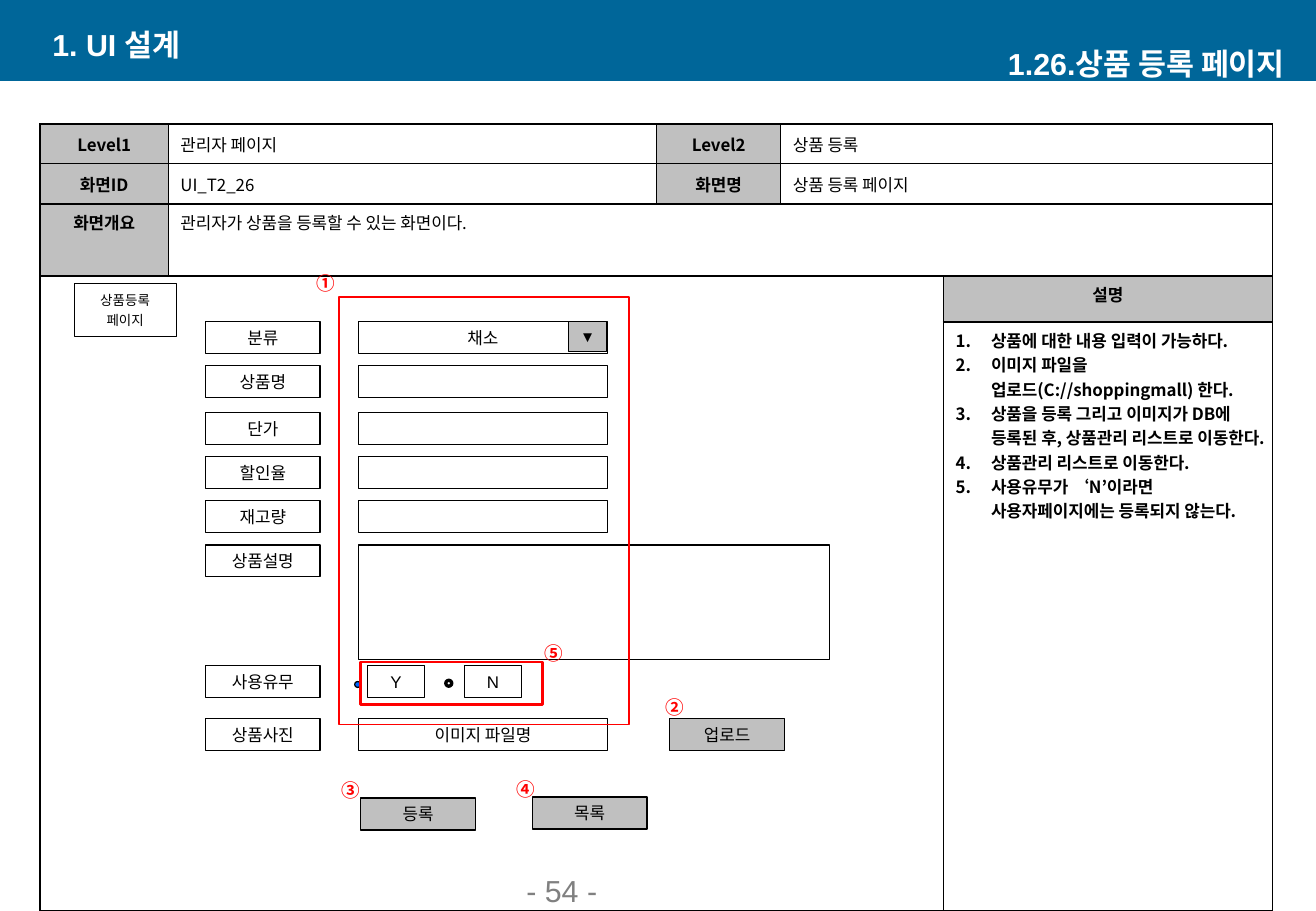
from lxml.etree import SubElement
from pptx import Presentation
from pptx.dml.color import RGBColor
from pptx.enum.shapes import MSO_SHAPE as Shape
from pptx.enum.text import MSO_ANCHOR as Anchor, PP_ALIGN as Align
from pptx.oxml.ns import qn
from pptx.util import Pt

BLACK = RGBColor(0x00, 0x00, 0x00)
WHITE = RGBColor(0xFF, 0xFF, 0xFF)
GRAY = RGBColor(0xC0, 0xC0, 0xC0)
DARK_GRAY = RGBColor(0x80, 0x80, 0x80)
RED = RGBColor(0xFF, 0x00, 0x00)
BLUE = RGBColor(0x00, 0x66, 0xFF)
TEAL = RGBColor(0x00, 0x66, 0x99)
ARIAL = "Arial"
NOTO = "Noto Sans CJK KR"


class Page:
    """The current slide and the style of its elements."""

    def __init__(self, slide):
        self.shapes = slide.shapes

    def style(self, paragraph, size, color=BLACK, bold=False, font=ARIAL, align=Align.LEFT):
        paragraph.alignment = align
        face = paragraph.font
        face.size, face.bold, face.name = Pt(size), bold, font
        face.color.rgb = color
        SubElement(face._element, qn("a:ea"), typeface=NOTO)

    def fill_text(self, frame, text, size, anchor=Anchor.MIDDLE, insets=(0, 0, 0, 0), **look):
        frame.word_wrap = True
        frame.vertical_anchor = anchor
        (frame.margin_left, frame.margin_top,
         frame.margin_right, frame.margin_bottom) = map(Pt, insets)
        frame.text = text
        for index, paragraph in enumerate(frame.paragraphs):
            if index:
                paragraph.space_before = Pt(2)
            self.style(paragraph, size, **look)

    def text(self, left, top, width, height, text, size, **look):
        box = self.shapes.add_textbox(Pt(left), Pt(top), Pt(width), Pt(height))
        self.fill_text(box.text_frame, text, size, **look)

    def box(self, left, top, width, height, text="", size=10, fill=None,
            line=BLACK, weight=0.75, kind=Shape.RECTANGLE):
        shape = self.shapes.add_shape(kind, Pt(left), Pt(top), Pt(width), Pt(height))
        shape.shadow.inherit = False
        if fill is None:
            shape.fill.background()
        else:
            shape.fill.solid()
            shape.fill.fore_color.rgb = fill
        if line is None:
            shape.line.fill.background()
        else:
            shape.line.color.rgb = line
            shape.line.width = Pt(weight)
        if text:
            self.fill_text(shape.text_frame, text, size, align=Align.CENTER)

    def marker(self, left, top, number):
        self.text(left, top, 24.5, 21, number, 11, color=RED, bold=True,
                  font=NOTO, align=Align.CENTER)

    def table(self, left, top, widths, heights):
        table = self.shapes.add_table(len(heights), len(widths), Pt(left), Pt(top),
                                      Pt(sum(widths)), Pt(sum(heights))).table
        table.first_row = table.horz_banding = False
        for column, width in zip(table.columns, widths):
            column.width = Pt(width)
        for row, height in zip(table.rows, heights):
            row.height = Pt(height)
        for cell in table.iter_cells():
            properties = cell._tc.get_or_add_tcPr()
            for side in ("a:lnL", "a:lnR", "a:lnT", "a:lnB"):
                line = SubElement(properties, qn(side), w=str(Pt(1)))
                solid = SubElement(line, qn("a:solidFill"))
                SubElement(solid, qn("a:srgbClr"), val=str(BLACK))
            cell.fill.background()
            cell.text_frame.paragraphs[0].font.size = Pt(10)
        return table

    def cell(self, cell, text, heading=False, anchor=Anchor.MIDDLE):
        cell.vertical_anchor = anchor
        cell.text = text
        if heading:
            cell.fill.solid()
            cell.fill.fore_color.rgb = GRAY
        for paragraph in cell.text_frame.paragraphs:
            self.style(paragraph, 10, bold=heading, font=NOTO,
                       align=Align.CENTER if heading else Align.LEFT)

    def numbered(self, cell, items):
        cell.vertical_anchor = Anchor.TOP
        cell.text = "\n".join(items)
        for paragraph in cell.text_frame.paragraphs:
            properties = paragraph._p.get_or_add_pPr()
            for old in list(properties):
                properties.remove(old)
            properties.set("marL", str(Pt(21)))
            properties.set("indent", str(Pt(-21)))
            SubElement(properties, qn("a:buFont"), typeface=NOTO)
            SubElement(properties, qn("a:buAutoNum"), type="arabicPeriod")
            self.style(paragraph, 10, bold=True, font=NOTO)


def main():
    deck = Presentation()
    deck.slide_width, deck.slide_height = Pt(780), Pt(540)
    page = Page(deck.slides.add_slide(deck.slide_layouts[6]))

    # Header band and page number
    page.box(0, 0, 780, 48, fill=TEAL, line=None)
    page.text(24, 14, 315, 24, "1. UI 설계", 18, color=WHITE, bold=True,
              insets=(7, 0, 7, 0))
    page.text(464.5, 25.5, 315, 24, "1.26.상품 등록 페이지", 18, color=WHITE, bold=True,
              align=Align.RIGHT, insets=(7, 0, 18, 0))
    page.text(305, 525.5, 163, 16.5, "- 54 -", 18, color=DARK_GRAY,
              anchor=Anchor.BOTTOM, insets=(7, 3.5, 7, 3.5))

    # Screen information table
    info = page.table(23.75, 73.5, (76, 289.5, 73.5, 96.5, 195), (23.5, 24, 42.5, 27.5, 349))
    for first, last in (((0, 3), (0, 4)), ((1, 3), (1, 4)), ((2, 1), (2, 4)), ((3, 0), (4, 3))):
        info.cell(*first).merge(info.cell(*last))
    entries = (("Level1", "관리자 페이지", "Level2", "상품 등록"),
               ("화면ID", "UI_T2_26", "화면명", "상품 등록 페이지"),
               ("화면개요", "관리자가 상품을 등록할 수 있는 화면이다."))
    for row, values in enumerate(entries):
        anchor = Anchor.TOP if row == 2 else Anchor.MIDDLE
        for column, value in enumerate(values):
            page.cell(info.cell(row, column), value, column % 2 == 0, anchor)
    page.cell(info.cell(3, 4), "설명", True, Anchor.TOP)
    page.numbered(info.cell(4, 4), (
        "상품에 대한 내용 입력이 가능하다.",
        "이미지 파일을 업로드(C://shoppingmall) 한다.",
        "상품을 등록 그리고 이미지가 DB에 등록된 후, 상품관리 리스트로 이동한다.",
        "상품관리 리스트로 이동한다.",
        "사용유무가 ‘N’이라면 사용자페이지에는 등록되지 않는다."))

    # Form labels with their fields: label, top, field text, field width, field height
    page.box(44, 168, 60.5, 31.5, "상품등록\n페이지", 8)
    label_left, field_left, label_width = 121.75, 212.5, 68
    form = (("분류", 190.5, "채소", 147.5, 19),
            ("상품명", 216.75, "", 147.5, 19),
            ("단가", 244.5, "", 147.5, 19),
            ("할인율", 270.75, "", 147.5, 19),
            ("재고량", 296.75, "", 147.5, 19),
            ("상품설명", 323, "", 279, 68),
            ("사용유무", 394.5, None, 0, 0),
            ("상품사진", 426, "이미지 파일명", 147.5, 19))
    for label, top, value, width, height in form:
        page.box(label_left, top, label_width, 19, label)
        if value is not None:
            page.box(field_left, top, width, height, value)
    page.box(337, 190.75, 22.5, 17.75, "▼", 9, fill=GRAY)

    # Usage options
    for left, option in ((218, "Y"), (275.5, "N")):
        page.box(left, 394.5, 33.5, 19, option)
    page.box(210.25, 404, 3.5, 3.5, fill=BLUE, kind=Shape.OVAL)
    page.box(264.25, 403.25, 3.5, 3.5, fill=WHITE, weight=2, kind=Shape.OVAL)

    # Buttons
    for left, top, action in ((397, 426, "업로드"), (213.75, 473, "등록"), (315.5, 472.5, "목록")):
        page.box(left, top, label_width, 19, action, fill=GRAY)

    # Red frames and numbers
    page.box(201, 176, 172, 253.5, line=RED, weight=1)
    page.box(213.75, 392.5, 108, 25, line=RED, weight=1.5)
    for left, top, number in ((181, 157.5, "①"), (388, 408.75, "②"), (196, 458, "③"),
                              (299.5, 457.5, "④"), (315.75, 376.75, "⑤")):
        page.marker(left, top, number)

    deck.save("out.pptx")


if __name__ == "__main__":
    main()
